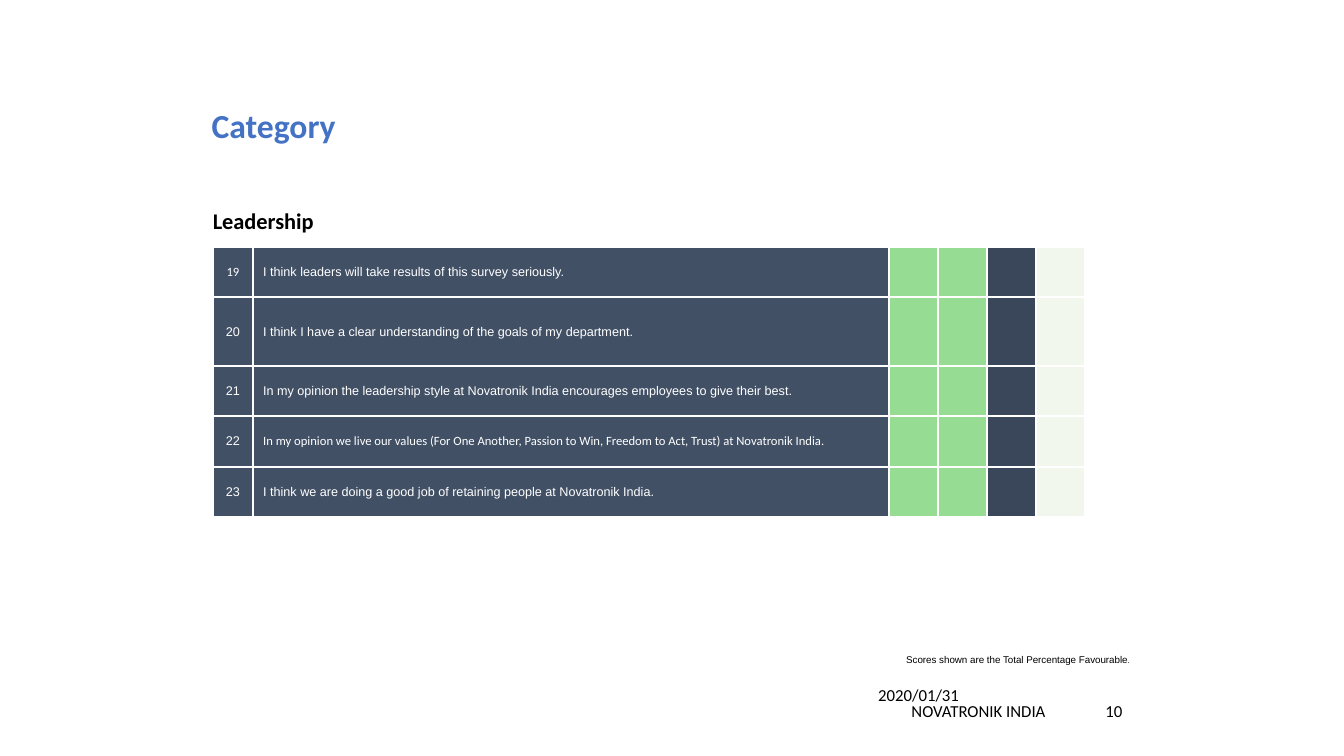
from typing import NamedTuple, Optional

import pptx
import pptx.dml.color
import pptx.enum.text
import pptx.oxml
import pptx.util
from pptx.oxml import ns

RGBColor = pptx.dml.color.RGBColor
Align = pptx.enum.text.PP_ALIGN
Anchor = pptx.enum.text.MSO_ANCHOR

BLACK = RGBColor(0x00, 0x00, 0x00)
WHITE = RGBColor(0xFF, 0xFF, 0xFF)
BLUE = RGBColor(0x44, 0x72, 0xC4)
SLATE = RGBColor(0x41, 0x50, 0x65)
NAVY = RGBColor(0x3A, 0x47, 0x5A)
GREEN = RGBColor(0x96, 0xDC, 0x93)
PALE = RGBColor(0xF1, 0xF7, 0xEC)

SLIDE_W = pptx.util.Inches(13.33)
SLIDE_H = pptx.util.Inches(7.5)


class Style(NamedTuple):
    size: float
    font: str = "Calibri"
    color: RGBColor = BLACK
    bold: bool = False
    align: Align = Align.LEFT
    spacing: Optional[float] = None


class Label(NamedTuple):
    """Text box; left, top, width and height in percent of the slide."""
    text: str
    left: float
    top: float
    width: float
    height: float
    style: Style
    anchor: Anchor = Anchor.MIDDLE
    insets: tuple = (0.1, 0.05, 0.1, 0.05)


class Question(NamedTuple):
    number: int
    text: str
    height: float = 6.67
    number_font: str = "Arial"
    text_font: str = "Arial"


LABELS = [
    Label("10", 81.32, 92.93, 2.93, 2.13, Style(12, align=Align.RIGHT)),
    Label("2020/01/31", 64.59, 90.8, 16.43, 2.13, Style(12)),
    Label("NOVATRONIK INDIA", 64.59, 92.93, 16.43, 2.13, Style(12, align=Align.CENTER)),
    Label("Category", 15.75, 13.87, 43.44, 10.53,
          Style(24, color=BLUE, bold=True, spacing=0.95), Anchor.TOP, (0, 0.03, 0.1, 0)),
]

QUESTIONS = [
    Question(19, "I think leaders will take results of this survey seriously.",
             number_font="Calibri"),
    Question(20, "I think I have a clear understanding of the goals of my department.",
             height=9.07),
    Question(21, "In my opinion the leadership style at Novatronik India encourages "
                 "employees to give their best."),
    Question(22, "In my opinion we live our values (For One Another, Passion to Win, "
                 "Freedom to Act, Trust) at Novatronik India.", text_font="Calibri"),
    Question(23, "I think we are doing a good job of retaining people at Novatronik India."),
]
SCORE_FILLS = [GREEN, GREEN, NAVY, PALE]
SURVEY_COLS = [3, 47.34] + [3.63] * len(SCORE_FILLS)
HEADER_HEIGHT = 6.67


def across(percent: float) -> int:
    return round(SLIDE_W * percent / 100)


def down(percent: float) -> int:
    return round(SLIDE_H * percent / 100)


def write(tf, text: str, style: Style) -> None:
    p = tf.paragraphs[0]
    p.text = text
    p.alignment = style.align
    if style.spacing:
        p.line_spacing = style.spacing
    p.font.size = pptx.util.Pt(style.size)
    p.font.name = style.font
    p.font.bold = style.bold
    p.font.color.rgb = style.color


def set_insets(target, insets: tuple) -> None:
    sides = ("margin_left", "margin_top", "margin_right", "margin_bottom")
    for side, inset in zip(sides, insets):
        setattr(target, side, pptx.util.Inches(inset))


def add_label(s, label: Label) -> None:
    box = s.shapes.add_textbox(across(label.left), down(label.top),
                               across(label.width), down(label.height))
    tf = box.text_frame
    tf.word_wrap = True
    tf.vertical_anchor = label.anchor
    set_insets(tf, label.insets)
    write(tf, label.text, label.style)


def add_grid(s, left: float, top: float, cols: list, rows: list):
    table = s.shapes.add_table(len(rows), len(cols), across(left), down(top),
                               across(sum(cols)), down(sum(rows))).table
    table.first_row = table.horz_banding = False
    for column, width in zip(table.columns, cols):
        column.width = across(width)
    for row, height in zip(table.rows, rows):
        row.height = down(height)
    for cell in table.iter_cells():
        add_borders(cell)
        cell.fill.background()
    return table


def add_borders(cell) -> None:
    tc_pr = cell._tc.get_or_add_tcPr()
    for side in ("lnL", "lnR", "lnT", "lnB"):
        tc_pr.append(pptx.oxml.parse_xml(
            f'<a:{side} {ns.nsdecls("a")} w="{pptx.util.Pt(1.5)}"><a:solidFill>'
            f'<a:srgbClr val="{WHITE}"/></a:solidFill></a:{side}>'))


def fill_cell(cell, color: RGBColor) -> None:
    cell.fill.solid()
    cell.fill.fore_color.rgb = color


def add_survey(s) -> None:
    rows = [HEADER_HEIGHT] + [q.height for q in QUESTIONS]
    table = add_grid(s, 15.83, 26, SURVEY_COLS, rows)

    # Heading across all but the last column
    header = table.cell(0, 0)
    header.merge(table.cell(0, len(SURVEY_COLS) - 2))
    header.vertical_anchor = Anchor.MIDDLE
    set_insets(header, (0, 0.05, 0.05, 0.05))
    write(header.text_frame, "Leadership", Style(16, bold=True))

    # One row per question
    for i, q in enumerate(QUESTIONS, start=1):
        for j, color in enumerate([SLATE, SLATE] + SCORE_FILLS):
            fill_cell(table.cell(i, j), color)
        number, text = table.cell(i, 0), table.cell(i, 1)
        number.vertical_anchor = text.vertical_anchor = Anchor.MIDDLE
        set_insets(number, (0.05, 0.05, 0.05, 0.05))
        write(number.text_frame, str(q.number),
              Style(9, q.number_font, WHITE, align=Align.CENTER))
        write(text.text_frame, q.text, Style(9, q.text_font, WHITE))


def add_footnote(s) -> None:
    table = add_grid(s, 15.83, 85.87, [35.26, 33.01], [2.67])
    note = table.cell(0, 1)
    set_insets(note, (0.1, 0.05, 0, 0.05))
    write(note.text_frame, "Scores shown are the Total Percentage Favourable.",
          Style(7, "Arial", align=Align.RIGHT))


def main() -> None:
    prs = pptx.Presentation()
    prs.slide_width, prs.slide_height = SLIDE_W, SLIDE_H
    s = prs.slides.add_slide(prs.slide_layouts[6])
    add_survey(s)
    add_footnote(s)
    for label in LABELS:
        add_label(s, label)
    prs.save("out.pptx")


if __name__ == "__main__":
    main()
